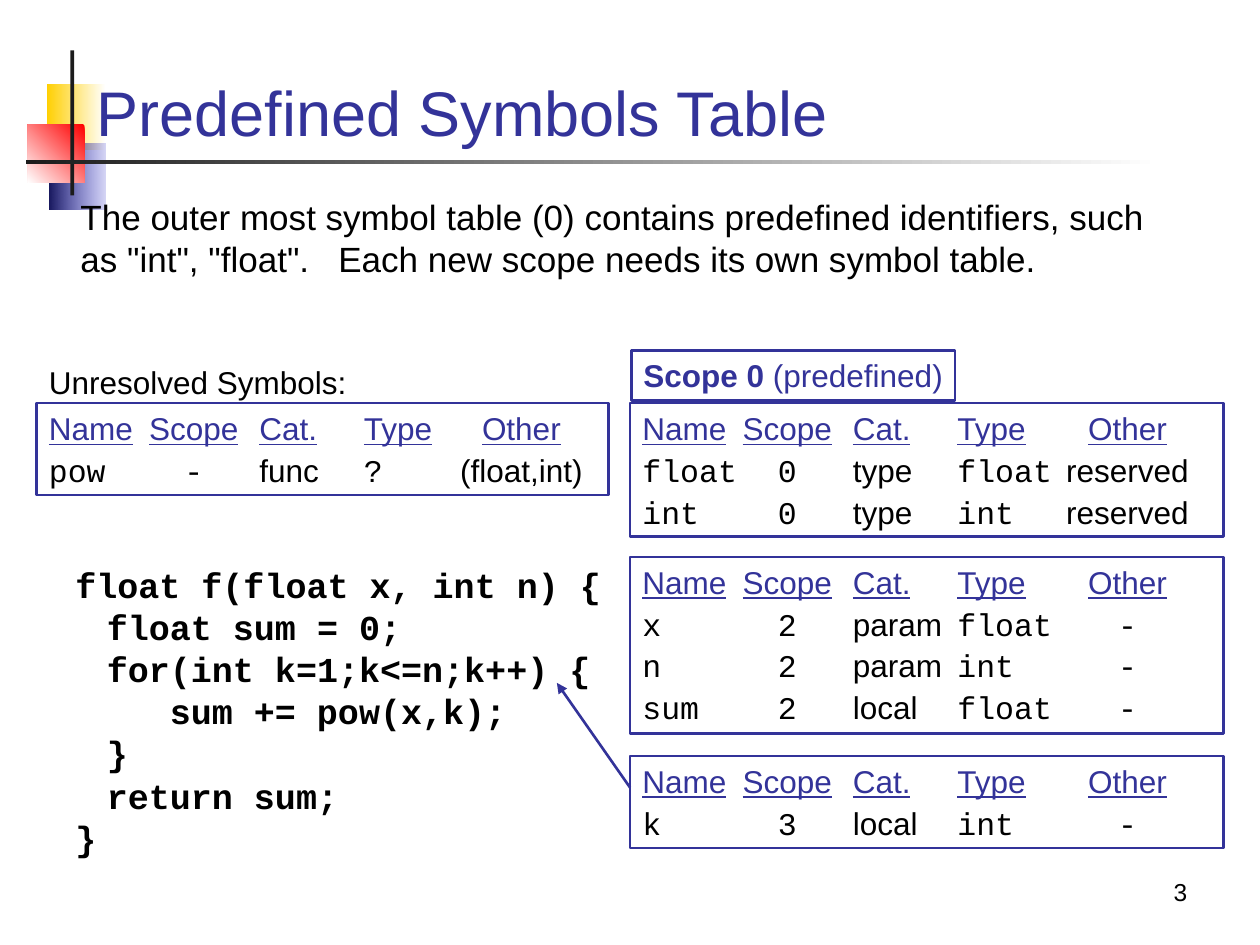
from dataclasses import dataclass

from lxml import etree
from pptx import Presentation
from pptx.dml.color import RGBColor
from pptx.enum.shapes import MSO_CONNECTOR, MSO_SHAPE
from pptx.enum.text import MSO_ANCHOR, PP_ALIGN
from pptx.oxml.ns import qn
from pptx.util import Pt

RECT = MSO_SHAPE.RECTANGLE
STRAIGHT = MSO_CONNECTOR.STRAIGHT
TOP, BOTTOM = MSO_ANCHOR.TOP, MSO_ANCHOR.BOTTOM
LEFT, CENTER, RIGHT = PP_ALIGN.LEFT, PP_ALIGN.CENTER, PP_ALIGN.RIGHT
EMU_PER_PX = 9144

HEADINGS = ("Name", "Scope", "Cat.", "Type", "Other")
MONO_COLUMNS = (0, 1, 3)
CODE = (
    "float f(float x, int n) {",
    "\tfloat sum = 0;",
    "\tfor(int k=1;k<=n;k++) {",
    "\t\tsum += pow(x,k);",
    "\t}",
    "\treturn sum;",
    "}",
)


@dataclass(frozen=True)
class Theme:
    """Colours, fonts and type sizes of the slide."""
    accent: str = "333399"
    ink: str = "000000"
    rule: str = "1C1C1C"
    white: str = "FFFFFF"
    yellow: str = "FFCF01"
    red: str = "FF0000"
    blue: str = "3333CC"
    navy: str = "17175E"
    sans: str = "Arial"
    mono: str = "Courier New"
    title: int = 36
    body: int = 20
    table: int = 18
    number: int = 14
    border: float = 1.5


THEME = Theme()


def px(value):
    """Turn px into EMU."""
    return round(value * EMU_PER_PX)


def style(run, size, color=THEME.ink, face=THEME.sans, bold=False, underline=False):
    """Format one run."""
    run.font.size = Pt(size)
    run.font.name = face
    run.font.bold = bold
    run.font.underline = underline
    run.font.color.rgb = RGBColor.from_string(color)


def set_tabs(paragraph, stops):
    """Give a paragraph tab stops as (px, alignment) pairs."""
    tab_list = etree.SubElement(paragraph._p.get_or_add_pPr(), qn("a:tabLst"))
    for position, alignment in stops:
        etree.SubElement(tab_list, qn("a:tab"), pos=str(px(position)), algn=alignment)


def add_text(slide, box, text, size, color=THEME.ink, anchor=TOP, align=LEFT):
    """Place a wrapped text box holding one paragraph."""
    frame = slide.shapes.add_textbox(*map(px, box)).text_frame
    frame.word_wrap = True
    frame.vertical_anchor = anchor
    frame.text = text
    frame.paragraphs[0].alignment = align
    style(frame.paragraphs[0].runs[0], size, color)


def add_rect(slide, box):
    """Place a rectangle without line or shadow."""
    rect = slide.shapes.add_shape(RECT, *map(px, box))
    rect.shadow.inherit = False
    rect.line.fill.background()
    return rect


def add_gradient(slide, box, start, end, angle, opacity=100):
    """Place a rectangle with a two-colour gradient."""
    fill = add_rect(slide, box).fill
    fill.gradient()
    fill.gradient_angle = angle
    for stop, color in zip(fill.gradient_stops, (start, end)):
        stop.color.rgb = RGBColor.from_string(color)
    if opacity < 100:
        first_color = fill.gradient_stops[0]._gs.find(qn("a:srgbClr"))
        etree.SubElement(first_color, qn("a:alpha"), val=str(opacity * 1000))


def add_frame(slide, box):
    """Place an outlined box and return its text frame."""
    outline = add_rect(slide, box)
    outline.fill.background()
    outline.line.color.rgb = RGBColor.from_string(THEME.accent)
    outline.line.width = Pt(THEME.border)
    outline.text_frame.vertical_anchor = TOP
    return outline.text_frame


def add_ornament(slide, left, top):
    """Draw the coloured squares and the crossing rules."""
    t = THEME
    add_gradient(slide, (left + 16, top + 27, 47, 52), t.white, t.yellow, 180)
    add_gradient(slide, (left + 18, top + 74, 45, 52), t.blue, t.navy, 180, opacity=20)
    add_gradient(slide, (left + 1, top + 59, 45, 46), t.red, t.white, 225)
    upright = add_rect(slide, (left + 35, top, 3, 115))
    upright.fill.solid()
    upright.fill.fore_color.rgb = RGBColor.from_string(t.rule)
    add_gradient(slide, (left, top + 87, 900, 3), t.white, t.rule, 180)


def add_code(slide, box):
    """Write the program listing."""
    frame = slide.shapes.add_textbox(*map(px, box)).text_frame
    frame.word_wrap = True
    frame.text = "\n".join(CODE)
    for line in frame.paragraphs:
        properties = line._p.get_or_add_pPr()
        properties.set("marL", str(px(25)))
        properties.set("indent", str(px(-25)))
        set_tabs(line, [(0, "l"), (100, "l")])
        line.line_spacing = Pt(24.1)
        style(line.runs[0], THEME.body, face=THEME.mono, bold=True)


def add_symbols(slide, box, rows, other_center=385):
    """Draw one symbol table with tabbed columns."""
    frame = add_frame(slide, box)
    frame.word_wrap = True
    stops = [(0, "l"), (115, "ctr"), (167, "l"), (250, "l"), (other_center, "ctr")]
    for index, row in enumerate((HEADINGS, *rows)):
        line = frame.add_paragraph() if index else frame.paragraphs[0]
        line.alignment = LEFT
        set_tabs(line, stops)
        if index:
            line.space_before = Pt(2.2)
        for column, value in enumerate(row):
            if column:
                gap = line.add_run()
                gap.text = "\t"
                style(gap, THEME.table)
            entry = line.add_run()
            entry.text = value
            if index:
                is_mono = column in MONO_COLUMNS or value == "-"
                style(entry, THEME.table, face=THEME.mono if is_mono else THEME.sans)
            else:
                style(entry, THEME.table, THEME.accent, underline=True)


def add_scope_label(slide, box):
    """Draw the label above the predefined scope."""
    frame = add_frame(slide, box)
    frame.word_wrap = False
    label = frame.paragraphs[0]
    label.alignment = CENTER
    for text, bold in (("Scope 0 ", True), ("(predefined)", False)):
        run = label.add_run()
        run.text = text
        style(run, THEME.table, THEME.accent, bold=bold)


def add_arrow(slide, start, end):
    """Draw an arrow from start to end."""
    arrow = slide.shapes.add_connector(STRAIGHT, *map(px, (*start, *end)))
    arrow.line.color.rgb = RGBColor.from_string(THEME.accent)
    arrow.line.width = Pt(THEME.border)
    etree.SubElement(arrow.line._get_or_add_ln(), qn("a:tailEnd"), type="triangle")
    etree.SubElement(arrow._element.spPr, qn("a:effectLst"))


def main():
    """Build and save the slide."""
    deck = Presentation()
    deck.slide_width, deck.slide_height = px(1000), px(750)
    slide = deck.slides.add_slide(deck.slide_layouts[6])
    add_ornament(slide, 21, 40)
    add_text(slide, (67, 28, 866, 95), "Predefined Symbols Table",
             THEME.title, THEME.accent, anchor=BOTTOM)
    add_text(slide, (54, 150, 892, 83),
             'The outer most symbol table (0) contains predefined identifiers, such as '
             '"int", "float".   Each new scope needs its own symbol table.', THEME.body)
    add_code(slide, (50, 442, 450, 233))
    add_symbols(slide, (500, 320, 471, 106), [
        ("float", "0", "type", "float", "reserved"),
        ("int", "0", "type", "int", "reserved")])
    add_symbols(slide, (500, 600, 471, 73), [("k", "3", "local", "int", "-")])
    add_scope_label(slide, (501, 278, 257, 40))
    add_symbols(slide, (500, 442, 471, 140), [
        ("x", "2", "param", "float", "-"),
        ("n", "2", "param", "int", "-"),
        ("sum", "2", "local", "float", "-")])
    add_text(slide, (29, 283, 366, 40), "Unresolved Symbols:", THEME.table)
    add_symbols(slide, (29, 320, 454, 73),
                [("pow", "-", "func", "?", "(float,int)")], other_center=375)
    add_arrow(slide, (500, 625), (442, 542))
    add_text(slide, (744, 674, 208, 50), "3", THEME.number, anchor=BOTTOM, align=RIGHT)
    deck.save("out.pptx")


if __name__ == "__main__":
    main()
